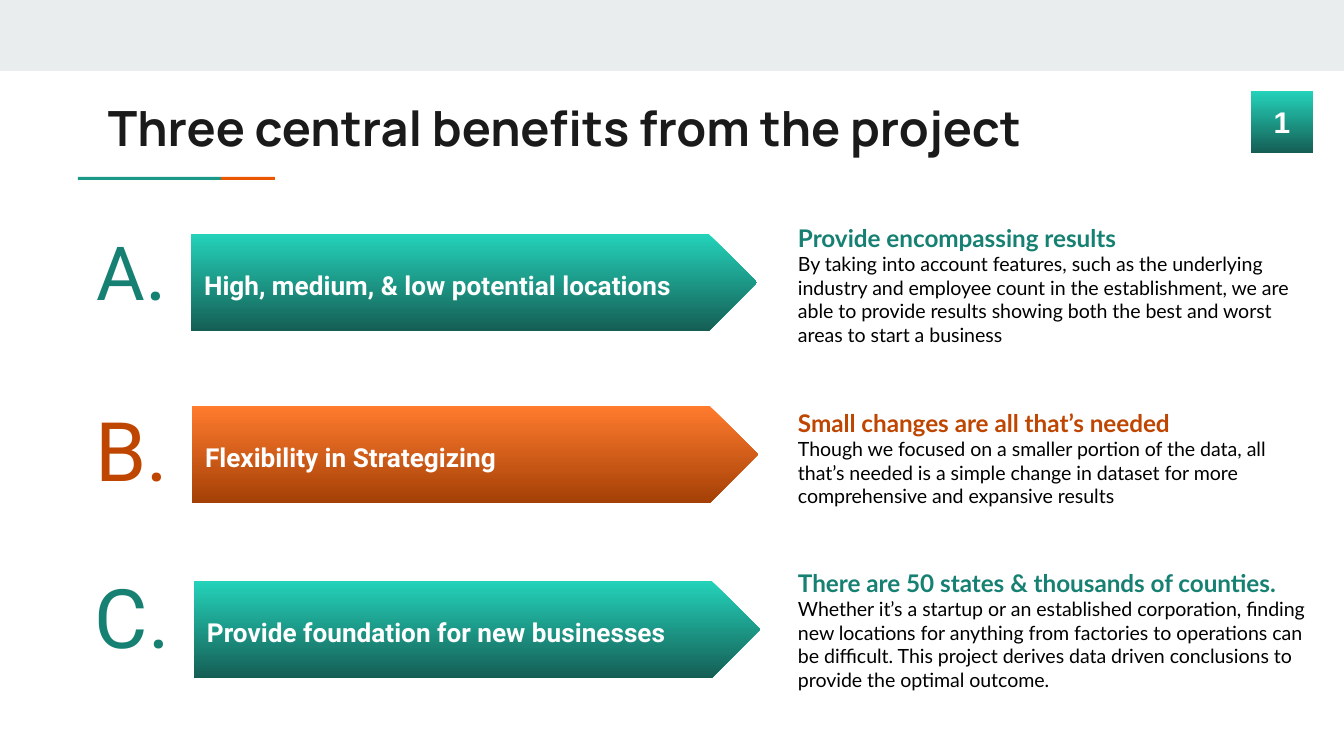
from collections import namedtuple

from pptx import Presentation
from pptx.dml.color import RGBColor
from pptx.enum.shapes import MSO_SHAPE as Shape
from pptx.enum.text import MSO_ANCHOR as Anchor, PP_ALIGN as Align
from pptx.util import Pt

EMU_PER_PX = 9144000 / 1344
TEAL, RUST = "168173", "BE4600"
TEAL_FADE = ("24D2BA", "155E54")
ORANGE_FADE = ("FF7B2E", "A44006")

Box = namedtuple("Box", "left top width height")
Run = namedtuple("Run", "text size font color bold", defaults=[False])
Benefit = namedtuple(
    "Benefit", "top arrow_left letter_dy detail_dy letter color fade label heading body")

BENEFITS = [
    Benefit(234, 191, 3, -24, [("A", 40), (".", 44)], TEAL, TEAL_FADE,
            "High, medium, & low potential locations",
            "Provide encompassing results",
            "By taking into account features, such as the underlying industry and "
            "employee count in the establishment, we are able to provide results "
            "showing both the best and worst areas to start a business"),
    Benefit(406, 192, 12, -11, [("B.", 44)], RUST, ORANGE_FADE,
            "Flexibility in Strategizing",
            "Small changes are all that’s needed",
            "Though we focused on a smaller portion of the data, all that’s needed "
            "is a simple change in dataset for more comprehensive and expansive results"),
    Benefit(581, 194, 4, -26, [("C.", 44)], TEAL, TEAL_FADE,
            "Provide foundation for new businesses",
            "There are 50 states & thousands of counties.",
            "Whether it’s a startup or an established corporation, finding new "
            "locations for anything from factories to operations can be difficult. "
            "This project derives data driven conclusions to provide the optimal outcome."),
]


def px(length):
    return round(length * EMU_PER_PX)


def rgb(color):
    return RGBColor.from_string(color)


def write(shape, paragraphs, anchor=Anchor.TOP, align=Align.LEFT, spacing=1.0, inset_y=13):
    """Fill a shape with paragraphs, each a list of runs."""
    frame = shape.text_frame
    frame.word_wrap = True
    frame.vertical_anchor = anchor
    frame.margin_left = frame.margin_right = px(13)
    frame.margin_top = frame.margin_bottom = px(inset_y)
    for index, runs in enumerate(paragraphs):
        paragraph = frame.add_paragraph() if index else frame.paragraphs[0]
        paragraph.alignment = align
        paragraph.line_spacing = spacing
        for part in runs:
            run = paragraph.add_run()
            run.text = part.text
            run.font.size = Pt(part.size)
            run.font.name = part.font
            run.font.bold = part.bold
            run.font.color.rgb = rgb(part.color)


def add_text(slide, box, paragraphs, **layout):
    write(slide.shapes.add_textbox(*map(px, box)), paragraphs, **layout)


def add_panel(slide, kind, box, *colors):
    """Add a borderless shape: one colour is solid, two fade from top to bottom."""
    panel = slide.shapes.add_shape(kind, *map(px, box))
    panel.shadow.inherit = False
    panel.line.fill.background()
    if len(colors) == 1:
        panel.fill.solid()
        panel.fill.fore_color.rgb = rgb(colors[0])
    else:
        panel.fill.gradient()
        panel.fill.gradient_angle = 270
        for stop, color in zip(panel.fill.gradient_stops, colors):
            stop.color.rgb = rgb(color)
    return panel


def add_header(slide, box):
    left, top, width, _ = box
    add_panel(slide, Shape.RECTANGLE, Box(left, top, width, 71), "E9EDEE")
    add_panel(slide, Shape.RECTANGLE, Box(left + 78, top + 177, 143, 3), "1A9988")
    add_panel(slide, Shape.RECTANGLE, Box(left + 221, top + 177, 54, 3), "EB5600")
    add_text(slide, Box(left + 95, top + 85, 1130, 79),
             [[Run("Three central benefits from the project", 26, "Manrope", "1A1A1A", True)]])
    badge = add_panel(slide, Shape.FLOWCHART_PROCESS,
                      Box(left + 1251, top + 91, 62, 62), *TEAL_FADE)
    write(badge, [[Run("1", 16, "Arial", "FFFFFF", True)]],
          anchor=Anchor.MIDDLE, align=Align.CENTER)


def add_benefit(slide, box, benefit):
    left, top, _, height = box
    arrow_left = left + benefit.arrow_left
    arrow = add_panel(slide, Shape.PENTAGON,
                      Box(arrow_left, top, 566, height), *benefit.fade)
    write(arrow, [[Run(benefit.label, 14, "Roboto", "FFFFFF", True)]],
          anchor=Anchor.MIDDLE, spacing=1.15)
    add_text(slide, Box(arrow_left - 324, top + benefit.letter_dy, 313, 73),
             [[Run(text, size, "Roboto", benefit.color) for text, size in benefit.letter]],
             anchor=Anchor.MIDDLE, align=Align.RIGHT, spacing=0.9, inset_y=7)
    add_text(slide, Box(left + 785, top + benefit.detail_dy, 539, 160),
             [[Run(benefit.heading, 13, "Lato", benefit.color, True)],
              [Run(benefit.body, 10.5, "Lato", "000000")]])


def main():
    deck = Presentation()
    deck.slide_width, deck.slide_height = px(1344), px(756)
    slide = deck.slides.add_slide(deck.slide_layouts[6])
    add_header(slide, Box(0, 0, 1344, 180))
    for benefit in BENEFITS:
        add_benefit(slide, Box(0, benefit.top, 1344, 97), benefit)
    deck.save("out.pptx")


if __name__ == "__main__":
    main()
